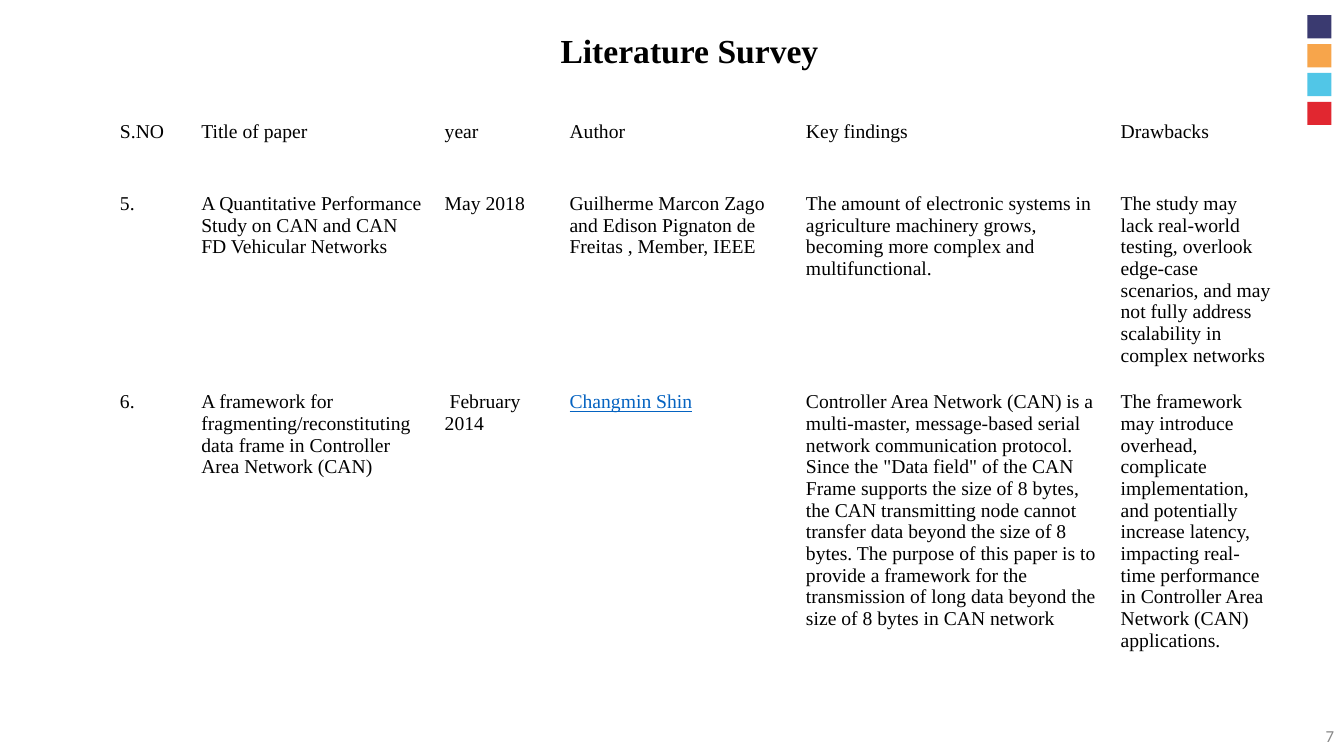
from dataclasses import dataclass
from pptx import Presentation
from pptx.dml.color import RGBColor as Color
from pptx.enum.shapes import MSO_SHAPE as Shape
from pptx.enum.text import MSO_ANCHOR as Anchor, MSO_AUTO_SIZE as AutoSize, PP_ALIGN as Align
from pptx.util import Pt


@dataclass(frozen=True)
class Theme:
    serif: str = "Times New Roman"
    sans: str = "Calibri"
    ink: str = "000000"
    link: str = "0563C1"
    muted: str = "888888"
    squares: tuple = ("3A3A70", "F7A54B", "51C6E7", "E12730")
    title_size: int = 24
    table_size: int = 14
    number_size: int = 12


theme = Theme()


def add_span(para, text, size, color, face):
    span = para.add_run()
    span.text = text
    span.font.size = Pt(size)
    span.font.name = face
    span.font.color.rgb = Color.from_string(color)
    return span


deck = Presentation()
deck.slide_width, deck.slide_height = Pt(960), Pt(540)
page = deck.slides.add_slide(deck.slide_layouts[5])

for index, color in enumerate(theme.squares):
    square = page.shapes.add_shape(
        Shape.RECTANGLE, Pt(933.8), Pt(10.9 + 20.6 * index), Pt(17.3), Pt(16.6))
    square.shadow.inherit = False
    square.fill.solid()
    square.fill.fore_color.rgb = Color.from_string(color)
    square.line.fill.background()

number_box = page.shapes.add_textbox(Pt(744), Pt(511), Pt(216), Pt(29))
number_box.text_frame.word_wrap = True
number_box.text_frame.vertical_anchor = Anchor.MIDDLE
number_para = number_box.text_frame.paragraphs[0]
number_para.alignment = Align.RIGHT
add_span(number_para, "7", theme.number_size, theme.muted, theme.sans)

title = page.shapes.title
title.left, title.top, title.width, title.height = Pt(78.5), Pt(18), Pt(828), Pt(39)
title.text_frame.word_wrap = True
title.text_frame.auto_size = AutoSize.NONE
title.text_frame.vertical_anchor = Anchor.TOP
title_para = title.text_frame.paragraphs[0]
title_para.alignment = Align.CENTER
title_span = add_span(title_para, "Literature Survey", theme.title_size, theme.ink, theme.serif)
title_span.font.bold = True

papers = [
    ("S.NO", "Title of paper", "year", "Author", "Key findings", "Drawbacks"),
    ("5.",
     "A Quantitative Performance Study on CAN and CAN FD Vehicular Networks",
     "May 2018",
     "Guilherme Marcon Zago and Edison Pignaton de Freitas , Member, IEEE",
     "The amount of electronic systems in agriculture machinery grows, "
     "becoming more complex and multifunctional.",
     "The study may lack real-world testing, overlook edge-case scenarios, "
     "and may not fully address scalability in complex networks"),
    ("6.",
     "A framework for fragmenting/reconstituting data frame in Controller Area Network (CAN)",
     " February 2014",
     "Changmin Shin",
     "Controller Area Network (CAN) is a multi-master, message-based serial network "
     "communication protocol. Since the \"Data field\" of the CAN Frame supports the size "
     "of 8 bytes, the CAN transmitting node cannot transfer data beyond the size of 8 bytes. "
     "The purpose of this paper is to provide a framework for the transmission of long data "
     "beyond the size of 8 bytes in CAN network",
     "The framework may introduce overhead, complicate implementation, and potentially "
     "increase latency, impacting real-time performance in Controller Area Network (CAN) "
     "applications."),
]
column_widths = (58.1, 173.9, 89.2, 168.9, 224.8, 122.4)
row_heights = (51.3, 129, 122.4)

survey = page.shapes.add_table(
    len(papers), len(column_widths), Pt(78.5), Pt(83),
    Pt(sum(column_widths)), Pt(sum(row_heights))).table
survey.first_row = False
survey.horz_banding = False
for column, width in zip(survey.columns, column_widths):
    column.width = Pt(width)
for row, height, texts in zip(survey.rows, row_heights, papers):
    row.height = Pt(height)
    for cell, text in zip(row.cells, texts):
        cell.fill.background()
        linked = text == "Changmin Shin"
        span = add_span(cell.text_frame.paragraphs[0], text, theme.table_size,
                        theme.link if linked else theme.ink, theme.serif)
        if linked:
            span.font.underline = True

deck.save("out.pptx")
